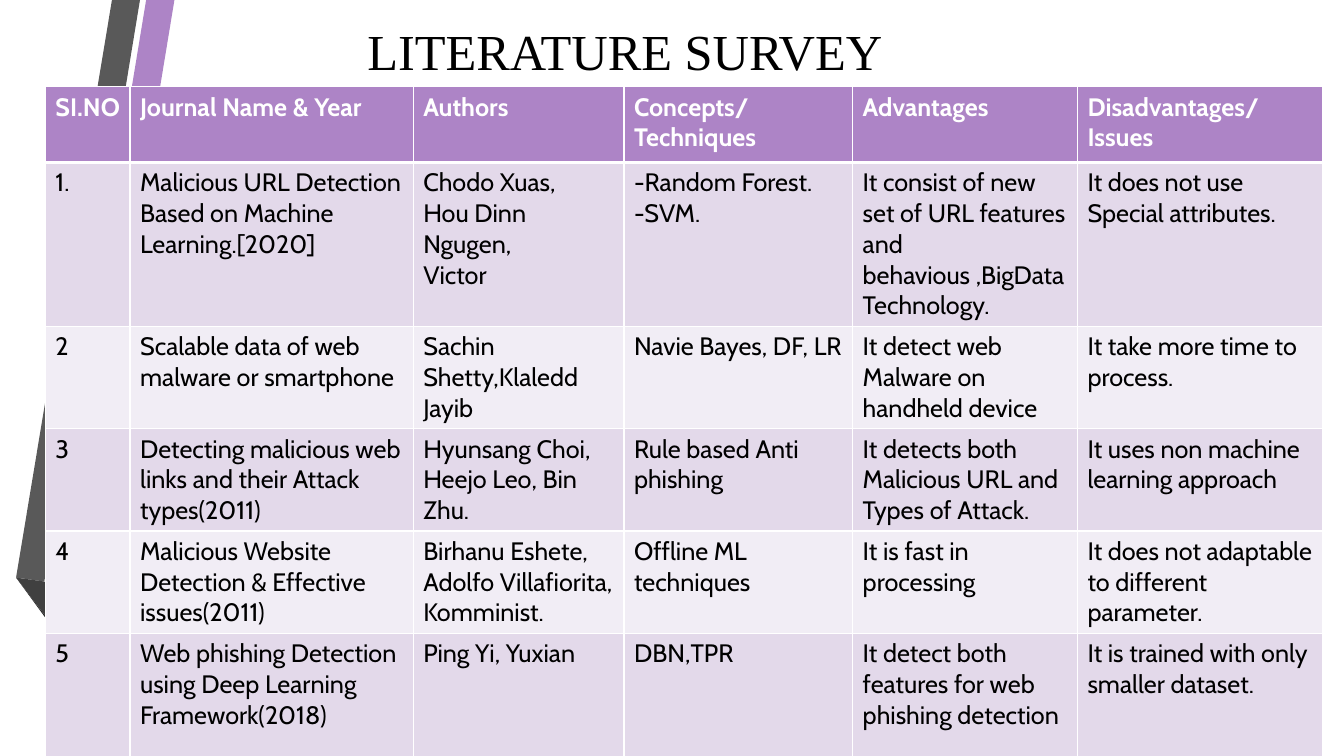
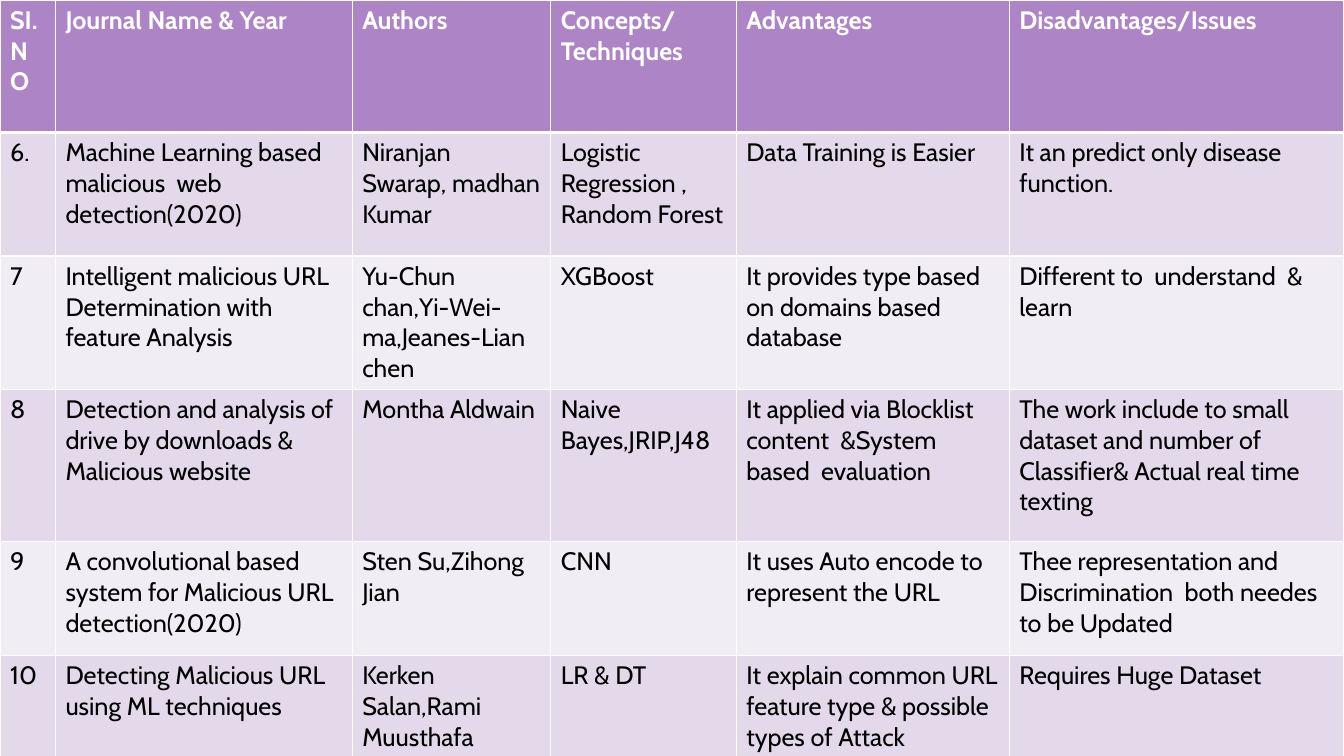
from lxml import etree
from pptx import Presentation
from pptx.dml.color import RGBColor
from pptx.enum.text import MSO_ANCHOR as Anchor, MSO_AUTO_SIZE as AutoSize, PP_ALIGN as Align
from pptx.oxml.ns import qn
from pptx.util import Pt

# Shared palette
WHITE, BLACK, PURPLE = "FFFFFF", "000000", "AD84C6"
BAND_DARK, BAND_LIGHT = "E3D9EA", "F1EDF5"


def paint(color_format, color):
    if hasattr(color_format, "solid"):
        color_format.solid()
        color_format = color_format.fore_color
    color_format.rgb = RGBColor.from_string(color)


def write(frame, text, font="Cabin", size=18, color=BLACK, bold=False, align=Align.LEFT):
    frame.text = text
    for paragraph in frame.paragraphs:
        paragraph.alignment = align
        for run in paragraph.runs:
            run.font.name = font
            run.font.size = Pt(size)
            run.font.bold = bold
            paint(run.font.color, color)


prs = Presentation()
prs.slide_width, prs.slide_height = Pt(960), Pt(540)
survey = prs.slides.add_slide(prs.slide_layouts[5])
survey_continued = prs.slides.add_slide(prs.slide_layouts[6])

# Folded ribbons, moved to the master so that both slides share them
ribbons = [
    (PURPLE, [(36, 416), (55.4, 420), (124.6, 0), (104.4, 0)]),
    ("595959", [(100, 0), (80, 0), (11.5, 412.6), (31.7, 415.4)]),
    ("262626", [(11.5, 412.6), (104.4, 540), (108.7, 540)]),
    ("5A3471", [(36, 417), (149.8, 540), (154, 540)]),
    ("874EA9", [(36, 417), (154, 540), (203.8, 540), (55.4, 420), (36, 416)]),
    ("404040", [(145.4, 540), (34.6, 420), (31.7, 415.4), (11.5, 412.6), (108.7, 540)]),
]
for color, corners in ribbons:
    start, *others = [(Pt(x), Pt(y)) for x, y in corners]
    outline = survey.shapes.build_freeform(*start)
    outline.add_line_segments(others, close=True)
    ribbon = outline.convert_to_shape()
    paint(ribbon.fill, color)
    ribbon.line.fill.background()
    ribbon.shadow.inherit = False
    prs.slide_master.shapes.element.append(ribbon.element)

# Title
title = survey.shapes.title
title.left, title.top, title.width, title.height = Pt(32.4), Pt(10.8), Pt(828), Pt(51)
title.text_frame.auto_size = AutoSize.NONE
title.text_frame.vertical_anchor = Anchor.MIDDLE
write(title.text_frame, "LITERATURE SURVEY", font="Times New Roman", size=36, align=Align.CENTER)

# Survey entries
headings = ("SI.NO", "Journal Name & Year", "Authors", "Concepts/\nTechniques",
            "Advantages", "Disadvantages/Issues")
papers_1_to_5 = [
    ("1.", "Malicious URL Detection Based on Machine Learning.[2020]",
     "Chodo Xuas,\nHou Dinn Ngugen,\nVictor", "-Random Forest.\n-SVM.",
     "It consist of new set of URL features and behavious ,BigData Technology.",
     "It does not use Special attributes."),
    ("2", "Scalable data of web malware or smartphone", "Sachin Shetty,Klaledd Jayib",
     "Navie Bayes, DF, LR", "It detect web Malware on handheld device",
     "It take more time to process."),
    ("3", "Detecting malicious web links and their Attack types(2011)",
     "Hyunsang Choi, Heejo Leo, Bin Zhu.", "Rule based Anti phishing",
     "It detects both Malicious URL and Types of Attack.",
     "It uses non machine learning approach"),
    ("4", "Malicious Website Detection & Effective issues(2011)",
     "Birhanu Eshete, Adolfo Villafiorita, Komminist.", "Offline ML techniques",
     "It is fast in processing", "It does not adaptable to different parameter."),
    ("5", "Web phishing Detection using Deep Learning Framework(2018)",
     "Ping Yi, Yuxian", "DBN,TPR", "It detect both features for web phishing detection",
     "It is trained with only smaller dataset."),
]
papers_6_to_10 = [
    ("6.", "Machine Learning based  malicious  web detection(2020)",
     "Niranjan  Swarap, madhan Kumar", "Logistic Regression , Random Forest",
     "Data Training is Easier", "It an predict only disease function."),
    ("7", "Intelligent malicious URL Determination with feature Analysis",
     "Yu-Chun chan,Yi-Wei-ma,Jeanes-Lian chen", "XGBoost",
     "It provides type based on domains based database",
     "Different to  understand  & learn"),
    ("8", "Detection and analysis of drive by downloads & Malicious website",
     "Montha Aldwain", "Naive Bayes,JRIP,J48",
     "It applied via Blocklist content  &System based  evaluation",
     "The work include to small dataset and number of Classifier& Actual real time texting"),
    ("9", "A convolutional based system for Malicious URL  detection(2020)",
     "Sten Su,Zihong Jian", "CNN", "It uses Auto encode to represent the URL",
     "Thee representation and Discrimination  both needes to be Updated"),
    ("10", "Detecting Malicious URL using ML techniques", "Kerken Salan,Rami Muusthafa",
     "LR & DT", "It explain common URL feature type & possible types of Attack",
     "Requires Huge Dataset"),
]

# Slide, papers, left, top, column widths, row heights
layouts = [
    (survey, papers_1_to_5, 32.4, 62,
     (60.5, 202.3, 150.5, 163.4, 160.6, 175), (54, 117, 73, 73, 73, 96)),
    (survey_continued, papers_6_to_10, 0, 0,
     (39.6, 212, 141.8, 132.6, 195, 239), (94.7, 88.2, 94.7, 108.7, 81.4, 72.3)),
]

# Survey tables
for slide, papers, left, top, widths, heights in layouts:
    entries = [headings, *papers]
    table = slide.shapes.add_table(len(entries), len(headings), Pt(left), Pt(top),
                                   Pt(sum(widths)), Pt(sum(heights))).table
    for column, width in zip(table.columns, widths):
        column.width = Pt(width)
    for r, (entry, height) in enumerate(zip(entries, heights)):
        table.rows[r].height = Pt(height)
        heading = r == 0
        band = PURPLE if heading else BAND_DARK if r % 2 else BAND_LIGHT
        # The rule under the headings is thicker than the others
        rules = {"a:lnL": 1, "a:lnR": 1, "a:lnT": 3 if r == 1 else 1, "a:lnB": 3 if heading else 1}
        for c, text in enumerate(entry):
            cell = table.cell(r, c)
            write(cell.text_frame, text, color=WHITE if heading else BLACK, bold=heading)
            paint(cell.fill, band)
            properties = cell._tc.get_or_add_tcPr()
            for position, (side, weight) in enumerate(rules.items()):
                rule = etree.Element(qn(side), w=str(Pt(weight)))
                rule_fill = etree.SubElement(rule, qn("a:solidFill"))
                etree.SubElement(rule_fill, qn("a:srgbClr"), val=WHITE)
                properties.insert(position, rule)

prs.save("out.pptx")
